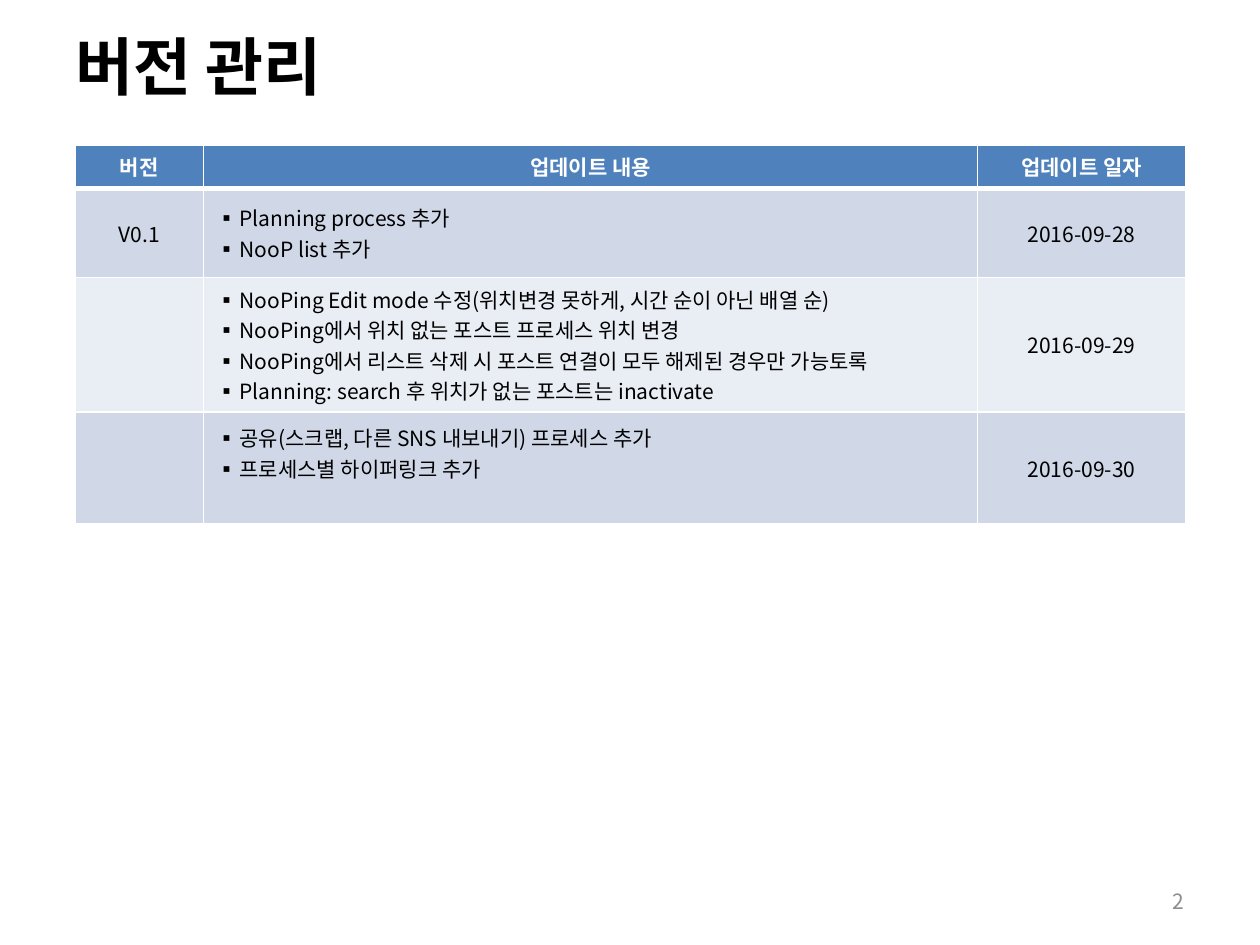
from lxml.etree import SubElement
from pptx import Presentation
from pptx.dml.color import RGBColor
from pptx.enum.text import MSO_ANCHOR, PP_ALIGN
from pptx.oxml.ns import qn
from pptx.util import Pt

FONT = "Noto Sans CJK KR"


def color(value):
    return RGBColor.from_string(value)


def add_text(paragraph, text, size, hex_color, bold=False, align=PP_ALIGN.LEFT):
    paragraph.alignment = align
    run = paragraph.add_run()
    run.text = text
    for name, value in {"name": FONT, "size": Pt(size), "bold": bold}.items():
        setattr(run.font, name, value)
    run.font.color.rgb = color(hex_color)
    SubElement(run.font._element, qn("a:ea"), typeface=FONT)


presentation = Presentation()
presentation.slide_width, presentation.slide_height = Pt(720), Pt(540)
slide = presentation.slides.add_slide(presentation.slide_layouts[5])

# Title
title = slide.shapes.title
for name, value in {"left": 36, "top": 9.5, "width": 648, "height": 55.5}.items():
    setattr(title, name, Pt(value))
title.text_frame.vertical_anchor = MSO_ANCHOR.MIDDLE
add_text(title.text_frame.paragraphs[0], "버전 관리", 36, "000000", True)

# Version table
header = ["버전", "업데이트 내용", "업데이트 일자"]
updates = [
    ("V0.1", ["Planning process 추가", "NooP list 추가"], "2016-09-28"),
    ("", ["NooPing Edit mode 수정(위치변경 못하게, 시간 순이 아닌 배열 순)",
          "NooPing에서 위치 없는 포스트 프로세스 위치 변경",
          "NooPing에서 리스트 삭제 시 포스트 연결이 모두 해제된 경우만 가능토록",
          "Planning: search 후 위치가 없는 포스트는 inactivate"], "2016-09-29"),
    ("", ["공유(스크랩, 다른 SNS 내보내기) 프로세스 추가",
          "프로세스별 하이퍼링크 추가"], "2016-09-30"),
]
table = slide.shapes.add_table(4, 3, Pt(42.8), Pt(83), Pt(634.8), Pt(189)).table
for column, width in zip(table.columns, [73.5, 442.3, 119]):
    column.width = Pt(width)
for row, height in zip(table.rows, [23, 51, 51, 64]):
    row.height = Pt(height)

for row_index, values in enumerate([header, *updates]):
    is_header = row_index == 0
    fill = "4F81BD" if is_header else ["E9EDF4", "D0D8E8"][row_index % 2]
    for column_index, value in enumerate(values):
        cell = table.cell(row_index, column_index)
        cell.vertical_anchor = MSO_ANCHOR.MIDDLE

        # White borders, thicker around the header's lower edge
        properties = cell._tc.get_or_add_tcPr()
        for side in ("lnL", "lnR", "lnT", "lnB"):
            thick = (side, row_index) in (("lnB", 0), ("lnT", 1))
            line = SubElement(properties, qn(f"a:{side}"), w=str(Pt(3 if thick else 1)))
            line_fill = SubElement(line, qn("a:solidFill"))
            SubElement(line_fill, qn("a:srgbClr"), val="FFFFFF")
        cell.fill.solid()
        cell.fill.fore_color.rgb = color(fill)

        # Centred labels, bulleted update lists
        frame = cell.text_frame
        if isinstance(value, str):
            if value:
                add_text(frame.paragraphs[0], value, 12,
                         "FFFFFF" if is_header else "000000", is_header, PP_ALIGN.CENTER)
            continue
        for index, item in enumerate(value):
            paragraph = frame.add_paragraph() if index else frame.paragraphs[0]
            paragraph_properties = paragraph._p.get_or_add_pPr()
            paragraph_properties.set("marL", str(Pt(13.5)))
            paragraph_properties.set("indent", str(Pt(-13.5)))
            SubElement(paragraph_properties, qn("a:buFont"), typeface=FONT)
            SubElement(paragraph_properties, qn("a:buChar"), char="▪")
            add_text(paragraph, item, 12, "000000")

# The last list sits above the middle of its row
table.cell(3, 1).margin_bottom = Pt(21)

# Slide number
number = slide.shapes.add_textbox(Pt(516), Pt(500.5), Pt(168), Pt(28.75)).text_frame
number.word_wrap = True
number.vertical_anchor = MSO_ANCHOR.MIDDLE
add_text(number.paragraphs[0], "2", 12, "8C8C8C", align=PP_ALIGN.RIGHT)

presentation.save("out.pptx")
